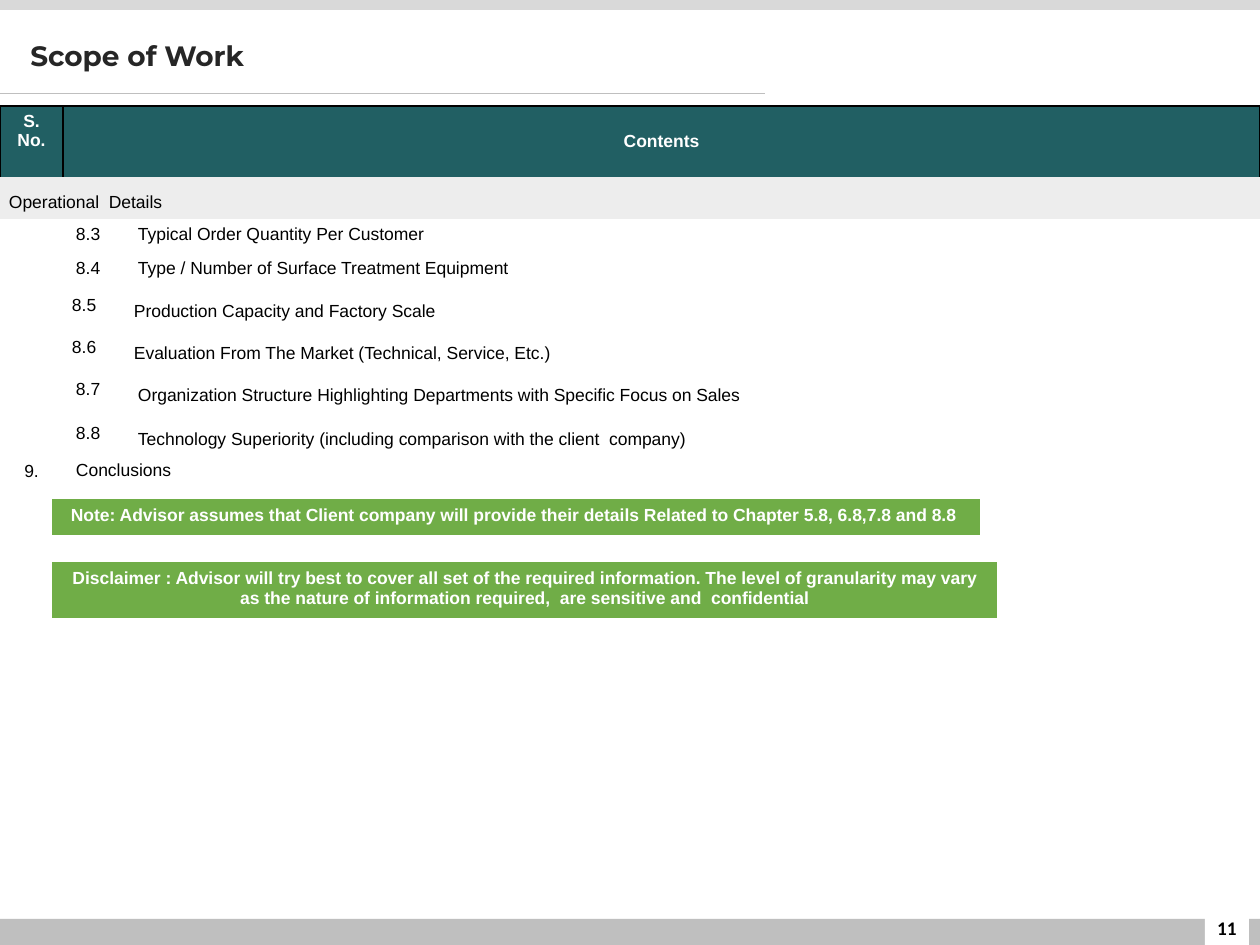
from dataclasses import dataclass

from lxml import etree
from pptx import Presentation, util as u
from pptx.dml.color import RGBColor
from pptx.enum import shapes, text
from pptx.oxml import ns

PX = 914400 / 126  # EMU in one px
WIDTH, HEIGHT = 1260, 945
NO_GRID_STYLE = "{2D5ABB26-0587-4C30-8999-92F81FD0307C}"
CENTER = text.PP_ALIGN.CENTER
MIDDLE = text.MSO_ANCHOR.MIDDLE


@dataclass(frozen=True)
class Theme:
    black: str = "000000"
    white: str = "FFFFFF"
    title: str = "262626"
    teal: str = "215F63"
    green: str = "70AD47"
    band: str = "EDEDED"
    top_bar: str = "D9D9D9"
    gray: str = "BFBFBF"
    title_size: int = 16
    number_size: int = 11
    body_size: int = 10
    body_font: str = "Arial"


THEME = Theme()
WIDE, NARROW = (13, 6), (9, 5)  # cell margins: sides, top and bottom
TIGHT = u.Pt(10)
LOOSE = 1.5

TITLE = "Scope of Work"
PAGE_NUMBER = "11"
HEADINGS = ("S. No.", "Contents")
SECTION = "Operational  Details"
# number, topic, row height, line spacing of the topic, margins
TOPICS = [
    ("8.3", "Typical Order Quantity Per Customer", 32, TIGHT, WIDE),
    ("8.4", "Type / Number of Surface Treatment Equipment", 32, TIGHT, WIDE),
    ("8.5", "Production Capacity and Factory Scale", 39, LOOSE, NARROW),
    ("8.6", "Evaluation From The Market (Technical, Service, Etc.)", 39, LOOSE, NARROW),
    ("8.7", "Organization Structure Highlighting Departments with Specific Focus on Sales",
     42, LOOSE, WIDE),
    ("8.8", "Technology Superiority (including comparison with the client  company)",
     42, LOOSE, WIDE),
]
CLOSING = ("9.", "Conclusions")
# text, top, width, height, alignment, left margin
NOTES = [
    ("Note: Advisor assumes that Client company will provide their details "
     "Related to Chapter 5.8, 6.8,7.8 and 8.8", 500, 926, 34, None, 18),
    ("Disclaimer : Advisor will try best to cover all set of the required information. "
     "The level of granularity may vary as the nature of information required,  "
     "are sensitive and  confidential", 563, 943, 53, CENTER, 13),
]
NOTE_LEFT = 53


def px(value):
    return u.Emu(round(value * PX))


def box(*values):
    return [px(value) for value in values]


def write(frame, content, *, size=THEME.body_size, font=THEME.body_font,
          color=THEME.black, bold=False, align=None, spacing=None):
    paragraph = frame.paragraphs[0]
    paragraph.alignment = align
    paragraph.line_spacing = spacing
    run = paragraph.add_run()
    run.text = content
    run.font.size = u.Pt(size)
    run.font.name = font
    run.font.bold = bold
    run.font.color.rgb = RGBColor.from_string(color)


def add_text(slide, place, content, **style):
    frame = slide.shapes.add_textbox(*box(*place)).text_frame
    frame.word_wrap = True
    frame.vertical_anchor = MIDDLE
    write(frame, content, **style)


def add_bar(slide, place, color):
    shape = slide.shapes.add_shape(shapes.MSO_SHAPE.RECTANGLE, *box(*place))
    shape.shadow.inherit = False
    shape.fill.solid()
    shape.fill.fore_color.rgb = RGBColor.from_string(color)
    shape.line.fill.background()


def add_rule(slide, y, length):
    line = slide.shapes.add_connector(shapes.MSO_CONNECTOR.STRAIGHT, *box(0, y, length, y))
    line.line.color.rgb = RGBColor.from_string(THEME.gray)
    line.line.width = u.Pt(0.5)
    etree.SubElement(line._element.spPr, ns.qn("a:effectLst"))


def add_plain_table(slide, left, top, widths, heights):
    """Add a table without style; empty cells keep the body text size."""
    table = slide.shapes.add_table(
        len(heights), len(widths), *box(left, top, sum(widths), sum(heights))).table
    table.first_row = table.horz_banding = False
    table._tbl.tblPr.find(ns.qn("a:tableStyleId")).text = NO_GRID_STYLE
    for column, width in zip(table.columns, widths):
        column.width = px(width)
    for row, height in zip(table.rows, heights):
        row.height = px(height)
    for cell in table.iter_cells():
        cell.fill.background()
        end = cell.text_frame.paragraphs[0]._p.get_or_add_endParaRPr()
        end.set("sz", str(THEME.body_size * 100))
    return table


def border(cell, color, sides):
    properties = cell._tc.get_or_add_tcPr()
    for index, side in enumerate(sides):
        line = etree.Element(ns.qn("a:ln" + side), w=str(u.Pt(1)))
        fill = etree.SubElement(line, ns.qn("a:solidFill"))
        etree.SubElement(fill, ns.qn("a:srgbClr"), val=color)
        properties.insert(index, line)


def fill_cell(cell, content, *, fill=None, margins=WIDE, anchor=MIDDLE, **style):
    cell.margin_left = cell.margin_right = px(margins[0])
    cell.margin_top = cell.margin_bottom = px(margins[1])
    cell.vertical_anchor = anchor
    if fill:
        cell.fill.solid()
        cell.fill.fore_color.rgb = RGBColor.from_string(fill)
    write(cell.text_frame, content, **style)


def add_contents(slide):
    heights = [71, 38] + [topic[2] for topic in TOPICS] + [32]
    table = add_plain_table(slide, 0, 106, (63, 62, 1135), heights)
    last = len(heights) - 1
    table.cell(0, 1).merge(table.cell(0, 2))
    table.cell(1, 0).merge(table.cell(1, 2))
    table.cell(last, 1).merge(table.cell(last, 2))

    for column, heading in enumerate(HEADINGS):
        cell = table.cell(0, column)
        fill_cell(cell, heading, fill=THEME.teal, color=THEME.white, bold=True,
                  align=CENTER, spacing=u.Pt(11))
        border(cell, THEME.black, "LRT")
    table.cell(0, 0).margin_bottom = px(26)  # lifts the two-line heading

    fill_cell(table.cell(1, 0), SECTION, fill=THEME.band, margins=NARROW, spacing=LOOSE)
    for row, (number, topic, _, spacing, margins) in enumerate(TOPICS, start=2):
        fill_cell(table.cell(row, 1), number, margins=margins, spacing=TIGHT)
        fill_cell(table.cell(row, 2), topic, margins=margins, spacing=spacing)
    fill_cell(table.cell(last, 0), CLOSING[0], margins=NARROW, align=CENTER)
    fill_cell(table.cell(last, 1), CLOSING[1], spacing=TIGHT)


def add_note(slide, content, top, width, height, align, margin_left):
    cell = add_plain_table(slide, NOTE_LEFT, top, [width], [height]).cell(0, 0)
    fill_cell(cell, content, fill=THEME.green, anchor=text.MSO_ANCHOR.TOP,
              color=THEME.white, bold=True, align=align)
    cell.margin_left = px(margin_left)
    border(cell, THEME.green, "LRTB")


def main():
    presentation = Presentation()
    presentation.slide_width, presentation.slide_height = box(WIDTH, HEIGHT)
    slide = presentation.slides.add_slide(presentation.slide_layouts[6])

    add_bar(slide, (0, 919, WIDTH, HEIGHT - 919), THEME.gray)
    add_bar(slide, (0, 0, WIDTH, 10), THEME.top_bar)
    add_bar(slide, (1205, 898, 44, HEIGHT - 898), THEME.white)
    add_text(slide, (1196, 911, 62, 34), PAGE_NUMBER, size=THEME.number_size,
             font="Calibri", bold=True, align=CENTER)
    add_rule(slide, 93, 765)
    add_text(slide, (18, 26, 1084, 63), TITLE, size=THEME.title_size,
             font="Montserrat", color=THEME.title, bold=True, spacing=0.9)
    add_contents(slide)
    for note in NOTES:
        add_note(slide, *note)
    presentation.save("out.pptx")


if __name__ == "__main__":
    main()
